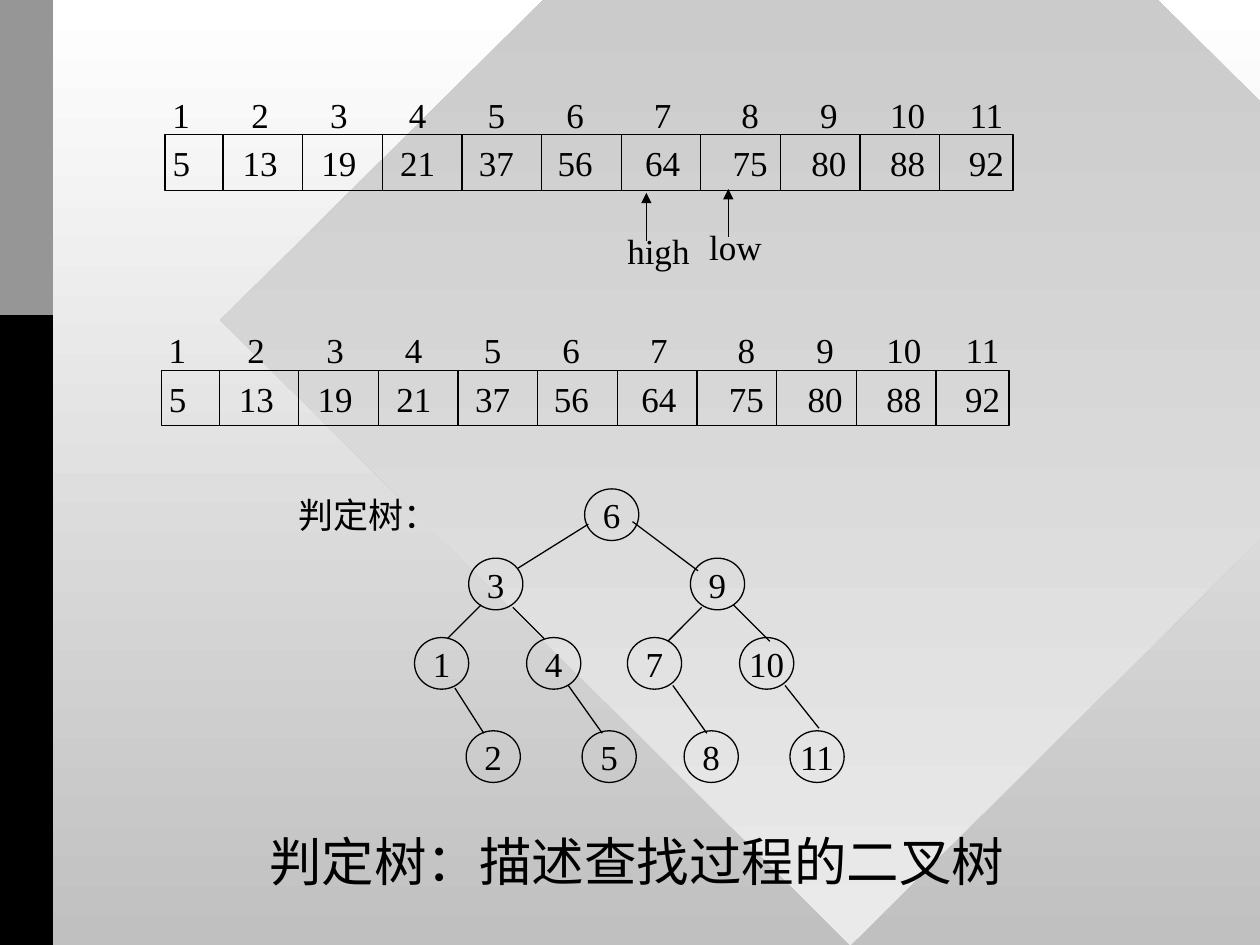
from lxml.etree import SubElement
from pptx import Presentation
from pptx.dml.color import RGBColor
from pptx.enum.shapes import MSO_CONNECTOR, MSO_SHAPE
from pptx.enum.text import MSO_ANCHOR, PP_ALIGN
from pptx.oxml.ns import qn
from pptx.util import Inches, Pt

INK = "010000"
color = RGBColor.from_string

presentation = Presentation()
presentation.slide_width = Inches(10)
presentation.slide_height = Inches(7.5)
slide = presentation.slides.add_slide(presentation.slide_layouts[6])

# The slide is a grid of 100 columns by 75 rows with square cells
CELL = presentation.slide_width / 100


def add_text(text, left, top, width, height, shape_type=None, size=20,
             font="Times New Roman", align=PP_ALIGN.LEFT, wrap=False,
             inset=1.0, tabs=()):
    """Add text in a plain box, or in an outlined shape if a type is given."""
    box = [round(value * CELL) for value in (left, top, width, height)]
    if shape_type is None:
        shape = slide.shapes.add_textbox(*box)
    else:
        shape = slide.shapes.add_shape(shape_type, *box)
        shape.shadow.inherit = False
        shape.fill.background()
        shape.line.color.rgb = color(INK)
        shape.line.width = Pt(0.75)
    frame = shape.text_frame
    frame.word_wrap = wrap
    frame.margin_left = round(inset * CELL)
    frame.margin_right = 0
    frame.vertical_anchor = MSO_ANCHOR.TOP if shape_type is None else MSO_ANCHOR.MIDDLE
    paragraph = frame.paragraphs[0]
    paragraph.alignment = align
    if tabs:
        tab_list = SubElement(paragraph._p.get_or_add_pPr(), qn("a:tabLst"))
        for stop in tabs:
            SubElement(tab_list, qn("a:tab"), pos=str(round(stop * CELL)), algn="ctr")
    run = paragraph.add_run()
    run.text = text
    run.font.size = Pt(size)
    run.font.name = font
    run.font.color.rgb = color(INK)


def add_line(x1, y1, x2, y2, arrow=False):
    """Add a thin line, with an arrowhead at its end on request."""
    ends = [round(value * CELL) for value in (x1, y1, x2, y2)]
    line = slide.shapes.add_connector(MSO_CONNECTOR.STRAIGHT, *ends)
    line.line.color.rgb = color(INK)
    line.line.width = Pt(0.75)
    if arrow:
        SubElement(line.line._get_or_add_ln(), qn("a:tailEnd"), type="triangle")
    SubElement(line._element.spPr, qn("a:effectLst"))


# Background, diamond and side bars
backdrop = [
    (MSO_SHAPE.DIAMOND, (17.5, -24.2, 100, 99.2), ("C0C0C0", "EAEAEA")),
    (MSO_SHAPE.RECTANGLE, (0, 0, 4.2, 75), ("000000",)),
    (MSO_SHAPE.RECTANGLE, (0, 0, 4.2, 25), ("969696",)),
]
fills = [(slide.background.fill, ("FFFFFF", "C0C0C0"))]
for shape_type, box, colors in backdrop:
    shape = slide.shapes.add_shape(shape_type, *[round(value * CELL) for value in box])
    shape.shadow.inherit = False
    shape.line.fill.background()
    fills.append((shape.fill, colors))
for fill, colors in fills:
    if len(colors) == 1:
        fill.solid()
        fill.fore_color.rgb = color(colors[0])
    else:
        fill.gradient()
        fill.gradient_angle = 270
        for position, (stop, stop_color) in enumerate(zip(fill.gradient_stops, colors)):
            stop.position = position
            stop.color.rgb = color(stop_color)

# Two search arrays: index row above a divided bar of values
values = [5, 13, 19, 21, 37, 56, 64, 75, 80, 88, 92]
indexes = range(1, len(values) + 1)
# Columns 7 and 8 are each set slightly further right
number_tabs = [6.25 * k + 0.7 * (1 + (k >= 6) + (k >= 7)) for k in range(1, len(values))]
for left, top in [(13.1, 10.7), (12.8, 29.4)]:
    add_text("\t".join(map(str, indexes)), left - 0.4, top - 3.8, 68.1, 4.4,
             wrap=True, tabs=number_tabs)
    add_text("\t".join(map(str, values)), left, top, 67.3, 4.4,
             shape_type=MSO_SHAPE.RECTANGLE, wrap=True, inset=0.6, tabs=number_tabs)
    for divider in range(len(values) - 1):
        x = left + 4.6 + 6.32 * divider
        add_line(x, top, x, top + 4.4)

# Pointers below the first array
for name, x, tip, width in [("low", 57.8, 15, 6.1), ("high", 51.3, 15.3, 6.9)]:
    add_line(x, tip + 3.8, x, tip, arrow=True)
    add_text(name, x - 2.5, tip + 2.4, width, 4.4)

# Decision tree nodes, one level per row
tree_levels = [
    (38.8, [(6, 46.4)]),
    (44.3, [(3, 37.2), (9, 54.8)]),
    (50.6, [(1, 32.9), (4, 41.8), (7, 49.8), (10, 58.7)]),
    (58, [(2, 37), (5, 46.2), (8, 54.3), (11, 62.7)]),
]
for top, nodes in tree_levels:
    for number, left in nodes:
        add_text(str(number), left, top, 4.3, 4.1, shape_type=MSO_SHAPE.OVAL,
                 align=PP_ALIGN.CENTER, inset=0)

# Decision tree edges, parent to child
tree_edges = [
    (46.7, 41.6, 41.1, 45.1), (50.2, 41.4, 55.4, 45.3),
    (38.2, 48, 35.5, 50.7), (40.7, 48.2, 43.2, 50.7),
    (55.7, 48.2, 53, 50.9), (58.2, 48, 61.1, 50.9),
    (36.1, 54.6, 38.4, 58.2), (45.1, 54.4, 47.8, 58.2),
    (53.4, 54.4, 56.1, 58.2), (62.3, 54.4, 65, 57.8),
]
for edge in tree_edges:
    add_line(*edge)

# Tree label and closing definition
add_text("判定树：", 22.7, 38.7, 13.1, 4.4)
add_text("判定树：描述查找过程的二叉树", 20.4, 65.3, 60.3, 6, size=30, font="Lato")

presentation.save("out.pptx")
